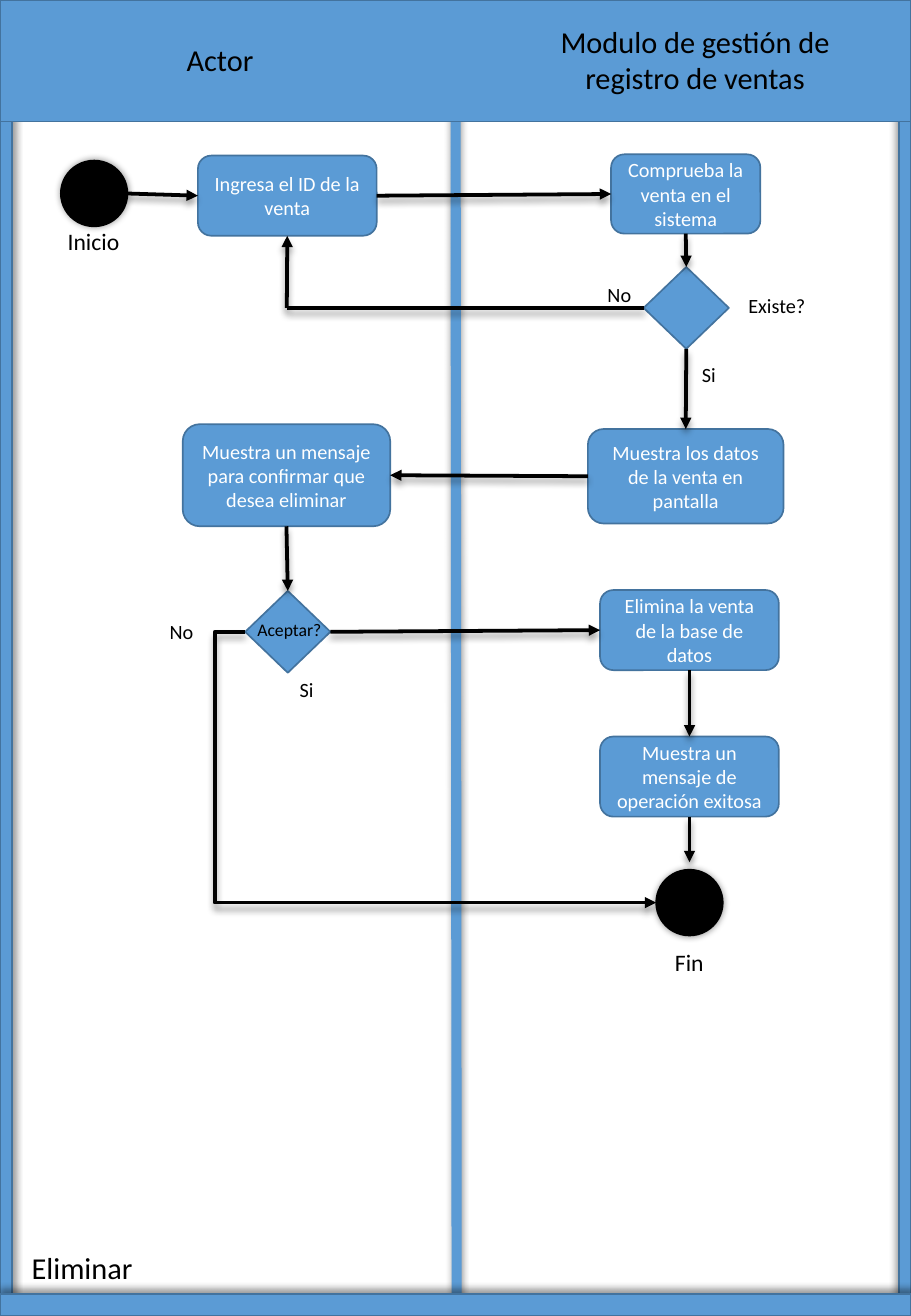
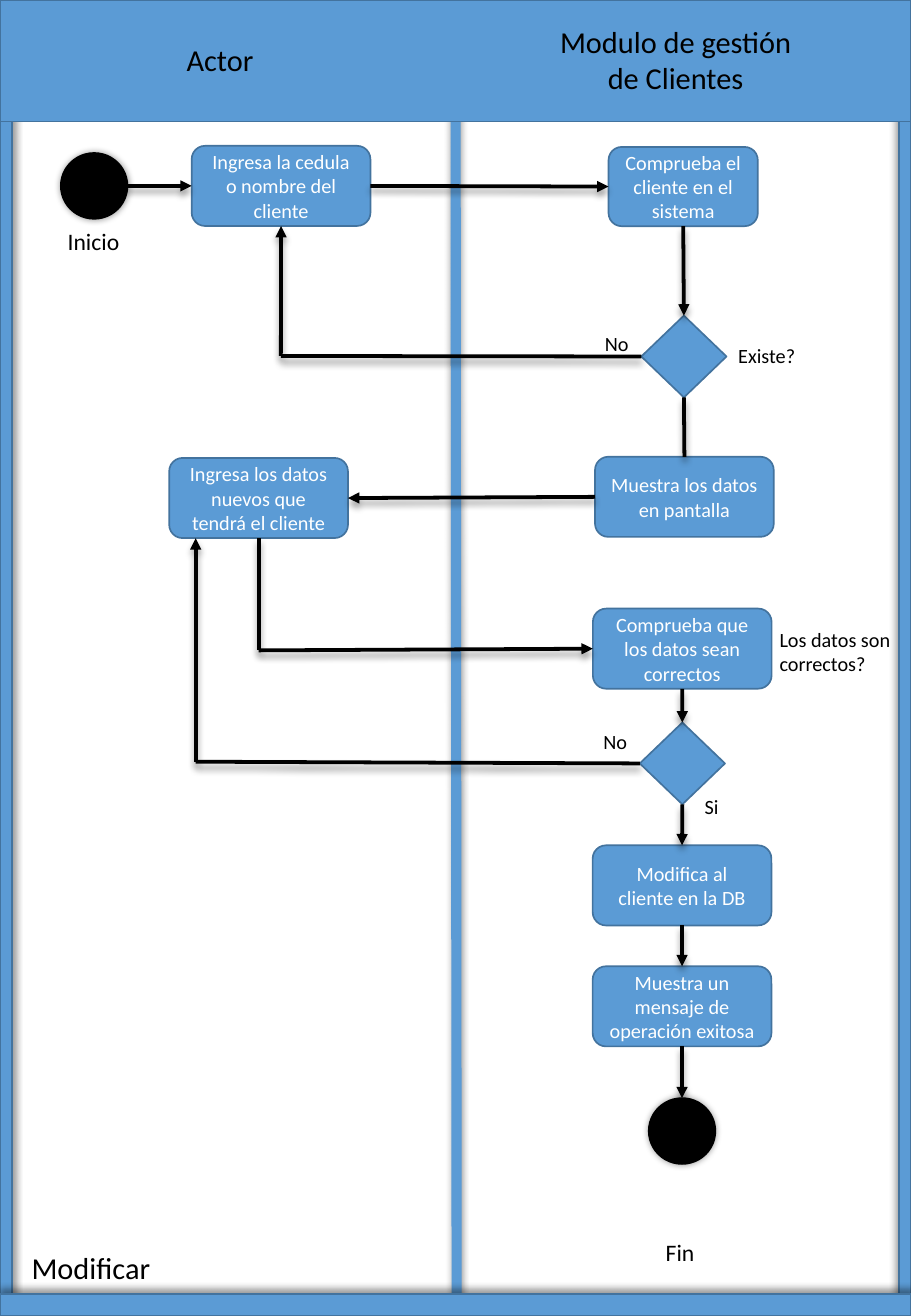
from lxml.etree import SubElement
from pptx import Presentation
from pptx.dml.color import RGBColor
from pptx.enum.shapes import MSO_CONNECTOR, MSO_SHAPE
from pptx.enum.text import MSO_ANCHOR, MSO_AUTO_SIZE, PP_ALIGN
from pptx.oxml.ns import qn
from pptx.util import Pt

COLORS = {"blue": "5B9BD5", "edge": "43739E", "black": "000000", "white": "FFFFFF"}
FONT = "Calibri"
W, H = 540, 780
SUCCESS = "Muestra un mensaje de operación exitosa"

KINDS = {
    "circle": (MSO_SHAPE.OVAL, "black", "black"),
    "decision": (MSO_SHAPE.FLOWCHART_DECISION, "blue", "edge"),
    "box": (MSO_SHAPE.ROUNDED_RECTANGLE, "blue", "edge"),
}
SIZES = {"circle": (39.5, 39), "decision": (50.5, 48.5), "box": (106, 47.5)}
SIDES = {"top": (0, 0.5, 0), "left": (1, 0, 0.5), "bottom": (2, 0.5, 1), "right": (3, 1, 0.5)}
FRAME = [
    (0, 0, 7, H, 45),
    (W - 7, 0, 7, H, 225),
    (0, H - 13, W, 13, 270),
    (0, 0, W, 72, None),
]
LABEL_HEIGHTS = {10.5: 21, 12: 21.5, 14: 24, 18: 29}

SLIDES = [
    {
        "title": ("Eliminar", 75),
        "header": ("Modulo de gestión de\nregistro de ventas", 176),
        "nodes": {
            "start": ("circle", 55.8, 114.7),
            "enter": ("box", 170.3, 116, "Ingresa el ID de la venta"),
            "check": ("box", 406.5, 115, "Comprueba la venta en el sistema", 88.5, 47),
            "exists": ("decision", 406.8, 182.5),
            "show": ("box", 406.5, 282.3, "Muestra los datos de la venta en pantalla", 116, 56),
            "confirm": ("box", 169.8, 281.7,
                        "Muestra un mensaje para confirmar que desea eliminar", 123, 60.5),
            "accept": ("decision", 170.6, 374.5),
            "delete": ("box", 408.7, 373.5, "Elimina la venta de la base de datos"),
            "success": ("box", 408.7, 460.3, SUCCESS),
            "end": ("circle", 408.7, 535),
        },
        "links": [
            ("arrow", "start right", "enter left"),
            ("arrow", "enter right", "check left"),
            ("arrow", "check bottom", "exists top"),
            ("arrow", "exists left", (170, 182.5), "enter bottom"),
            ("arrow", "exists bottom", "show top"),
            ("arrow", "show left", "confirm right"),
            ("arrow", "confirm bottom", "accept top"),
            ("arrow", "accept right", "delete left"),
            ("arrow", "delete bottom", "success top"),
            ("arrow", "success bottom", (408.7, 511)),
            ("elbow", "accept left", "end left"),
        ],
        "labels": [
            ("Inicio", 33, 131, 45.5, 14),
            ("Existe?", 436.5, 170.5, 49, 12),
            ("No", 353, 164, 29, 12),
            ("Si", 409, 211, 23, 12),
            ("Aceptar?", 145.5, 363.5, 54.5, 10.5),
            ("No", 93.5, 363.5, 29, 12),
            ("Si", 170.5, 398, 23, 12),
            ("Fin", 393, 558.5, 31.5, 14),
        ],
    },
    {
        "title": ("Modificar", 86),
        "header": ("Modulo de gestión\nde Clientes", 153),
        "nodes": {
            "start": ("circle", 55.8, 110.2),
            "enter": ("box", 166.6, 110.2, "Ingresa la cedula o nombre del cliente"),
            "check": ("box", 405, 110.6, "Comprueba el cliente en el sistema", 88.5, 47),
            "exists": ("decision", 405.4, 211.3),
            "show": ("box", 405.7, 294.5, "Muestra los datos en pantalla"),
            "renew": ("box", 153.3, 295.2, "Ingresa los datos nuevos que tendrá el cliente"),
            "verify": ("box", 404.4, 384.5, "Comprueba que los datos sean correctos"),
            "correct": ("decision", 404.5, 452.5),
            "modify": ("box", 404.3, 524.8, "Modifica al cliente en la DB"),
            "success": ("box", 404.3, 596.5, SUCCESS),
            "end": ("circle", 404.3, 670.4),
        },
        "links": [
            ("arrow", "start right", "enter left"),
            ("arrow", "enter right", "check left"),
            ("arrow", "check bottom", "exists top"),
            ("arrow", "exists left", (166.5, 211), "enter bottom"),
            ("line", "exists bottom", "show top"),
            ("arrow", "show left", "renew right"),
            ("arrow", "renew bottom", (153.3, 385.5), "verify left"),
            ("arrow", "verify bottom", "correct top"),
            ("arrow", "correct left", (116, 451.5), (116, 319)),
            ("arrow", "correct bottom", "modify top"),
            ("arrow", "modify bottom", "success top"),
            ("arrow", "success bottom", "end top"),
        ],
        "labels": [
            ("Inicio", 33, 131, 45.5, 14),
            ("Existe?", 430.5, 200, 49, 12),
            ("No", 351.5, 193, 29, 12),
            ("Los datos son\ncorrectos?", 455, 368, 85, 12),
            ("No", 350.5, 429, 29, 12),
            ("Si", 410.5, 467.5, 23, 12),
            ("Fin", 387.5, 730, 31.5, 14),
        ],
    },
]


def add_text(sp, text, size=12, color="black", align=PP_ALIGN.LEFT,
             anchor=MSO_ANCHOR.TOP, wrap=False, fit=MSO_AUTO_SIZE.SHAPE_TO_FIT_TEXT):
    tf = sp.text_frame
    tf.text = text
    tf.word_wrap = wrap
    tf.auto_size = fit
    tf.vertical_anchor = anchor
    for p in tf.paragraphs:
        p.alignment = align
        f = p.font
        f.name, f.size = FONT, Pt(size)
        f.color.rgb = RGBColor.from_string(COLORS[color])


def paint(sp, line, width, fill=None, shadow=None, distance=3):
    sp.line.color.rgb = RGBColor.from_string(COLORS[line])
    sp.line.width = Pt(width)
    if fill:
        sp.fill.solid()
        sp.fill.fore_color.rgb = RGBColor.from_string(COLORS[fill])
    effects = SubElement(sp._element.spPr, qn("a:effectLst"))
    if shadow is not None:
        outer = SubElement(effects, qn("a:outerShdw"), blurRad=str(Pt(4)),
                           dist=str(Pt(distance)), dir=str(shadow * 60000))
        rgb = SubElement(outer, qn("a:srgbClr"), val=COLORS["black"])
        SubElement(rgb, qn("a:alpha"), val="40000")


prs = Presentation()
prs.slide_width, prs.slide_height = Pt(W), Pt(H)

for page in SLIDES:
    s = prs.slides.add_slide(prs.slide_layouts[5])

    divider = s.shapes.add_connector(MSO_CONNECTOR.STRAIGHT, Pt(270), Pt(0), Pt(270.7), Pt(H))
    paint(divider, "blue", 6, shadow=270)
    for x, y, w, h, shadow in FRAME:
        band = s.shapes.add_shape(MSO_SHAPE.RECTANGLE, Pt(x), Pt(y), Pt(w), Pt(h))
        paint(band, "edge", 1, "blue", shadow)

    text, w = page["title"]
    title = s.shapes.title
    title.left, title.top, title.width, title.height = Pt(11.5), Pt(736.5), Pt(w), Pt(29)
    add_text(title, text, size=18)

    text, w = page["header"]
    header = s.shapes.add_textbox(Pt(324), Pt(10), Pt(w), Pt(51))
    add_text(header, text, size=18, align=PP_ALIGN.CENTER)

    nodes = {}
    for name, (kind, cx, cy, *extra) in page["nodes"].items():
        w, h = extra[1:] or SIZES[kind]
        shape, fill, line = KINDS[kind]
        sp = s.shapes.add_shape(shape, Pt(cx - w / 2), Pt(cy - h / 2), Pt(w), Pt(h))
        if kind == "circle":
            paint(sp, line, 1, fill, shadow=90, distance=0)
        else:
            paint(sp, line, 1, fill)
        if extra:
            add_text(sp, extra[0], color="white", align=PP_ALIGN.CENTER,
                     anchor=MSO_ANCHOR.MIDDLE, wrap=True, fit=MSO_AUTO_SIZE.NONE)
        nodes[name] = sp

    for kind, *stops in page["links"]:
        points, glue = [], []
        for stop in stops:
            if isinstance(stop, str):
                name, side = stop.split()
                sp = nodes[name]
                site, fx, fy = SIDES[side]
                points.append((int(sp.left + sp.width * fx), int(sp.top + sp.height * fy)))
                glue.append(None if name in ("start", "end") else (sp, site))
            else:
                points.append((Pt(stop[0]), Pt(stop[1])))
                glue.append(None)
        route = MSO_CONNECTOR.ELBOW if kind == "elbow" else MSO_CONNECTOR.STRAIGHT
        for i in range(len(points) - 1):
            link = s.shapes.add_connector(route, *points[i], *points[i + 1])
            paint(link, "black", 2.25, shadow=90)
            if kind == "elbow":
                guides = link._element.spPr.prstGeom.get_or_add_avLst()
                SubElement(guides, qn("a:gd"), name="adj1", fmla="val -7400")
            else:
                if glue[i]:
                    link.begin_connect(*glue[i])
                if glue[i + 1]:
                    link.end_connect(*glue[i + 1])
            if kind != "line" and i == len(points) - 2:
                SubElement(link.line._get_or_add_ln(), qn("a:tailEnd"), type="triangle")

    for text, x, y, w, size in [("Actor", 103.5, 21, 55, 18), *page["labels"]]:
        h = LABEL_HEIGHTS[size] + 14.5 * text.count("\n")
        label = s.shapes.add_textbox(Pt(x), Pt(y), Pt(w), Pt(h))
        add_text(label, text, size=size)

prs.save("out.pptx")
